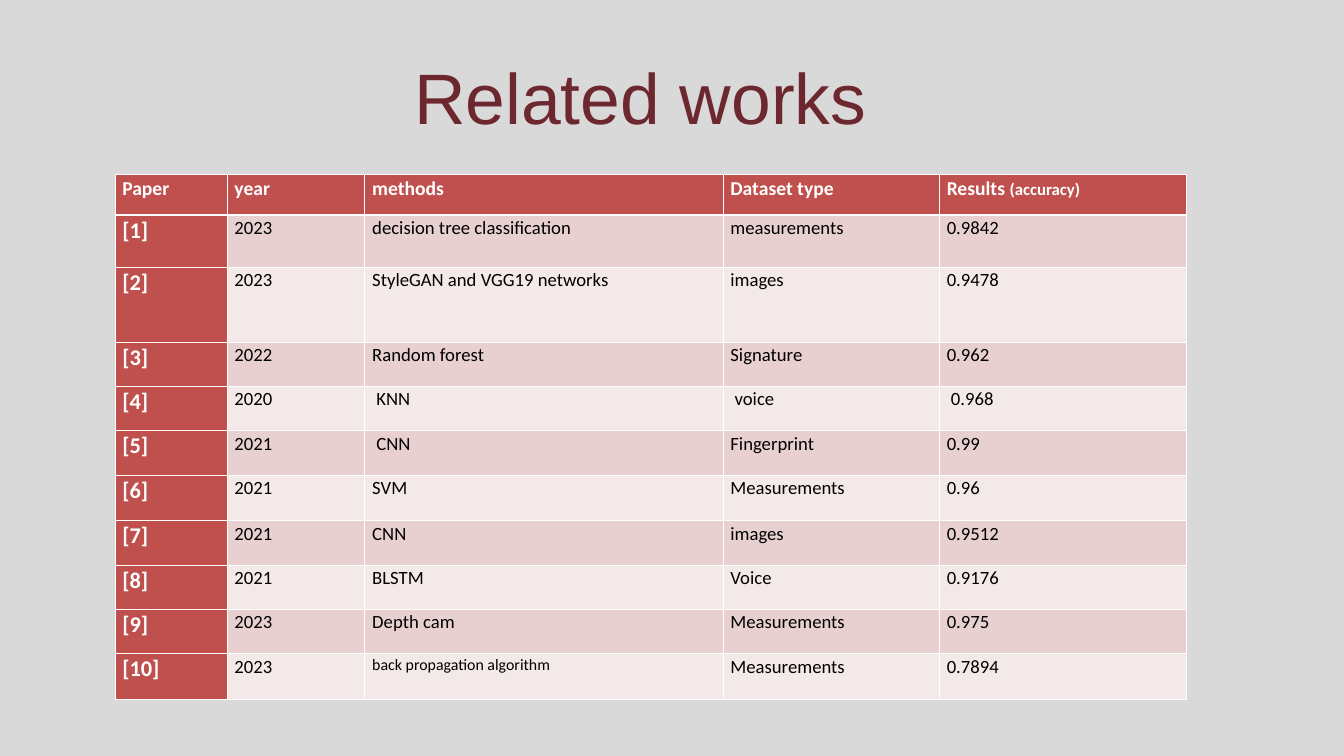
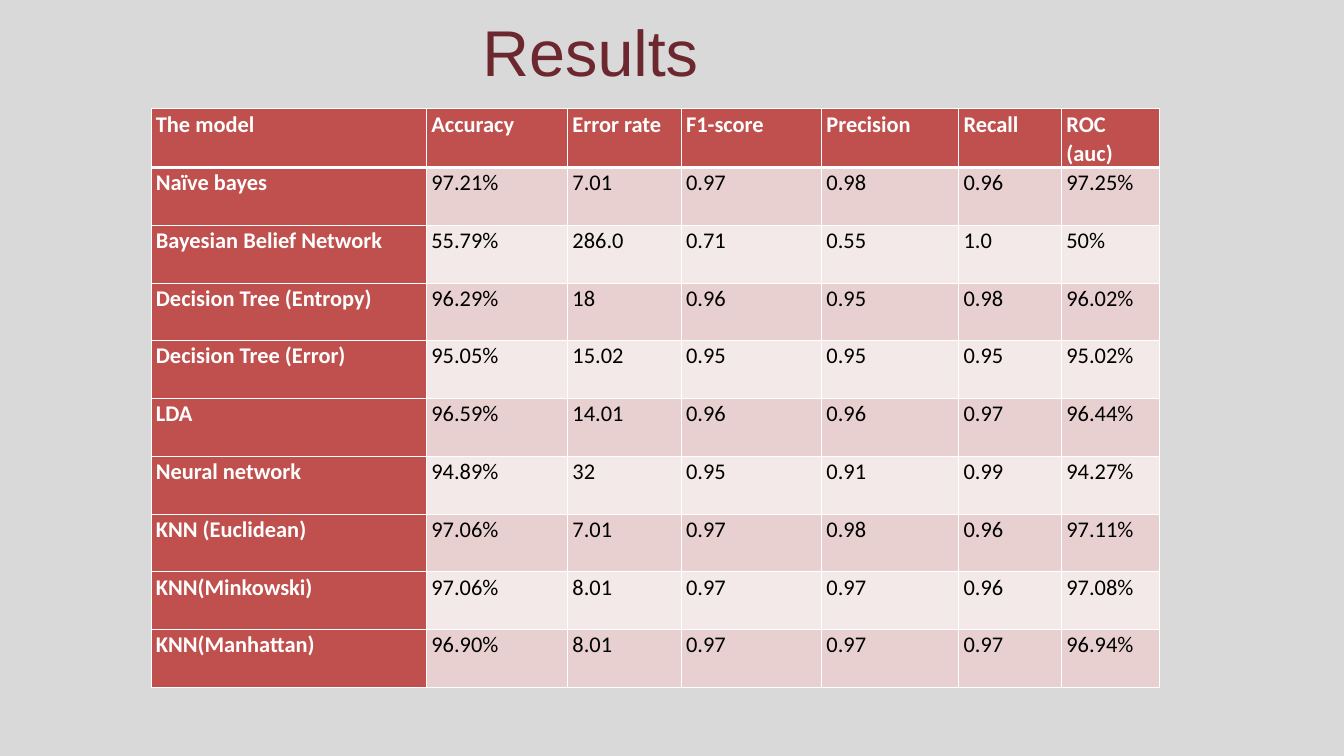
from typing import NamedTuple

from lxml.etree import SubElement as Sub
from pptx import Presentation
from pptx.dml.color import RGBColor as RGB
from pptx.enum.text import MSO_ANCHOR as Anchor
from pptx.enum.text import MSO_AUTO_SIZE as Fit
from pptx.enum.text import PP_ALIGN as Align
from pptx.oxml.ns import qn
from pptx.util import Inches, Pt

# Shared look
HEX = {
    "back": "D9D9D9",
    "title": "6D272E",
    "head": "C0504D",
    "odd": "E8D0D0",
    "even": "F4E9E9",
    "white": "FFFFFF",
    "black": "000000",
}
TITLE_FONT, CELL_FONT = "Arial", "Calibri"
THIN, THICK = 1, 3
SPACING = 1.07


class Part(NamedTuple):
    text: str
    size: float


class Title(NamedTuple):
    text: str
    left: float
    top: float
    size: float


class Grid(NamedTuple):
    left: float
    top: float
    cols: list[float]
    rows: list[float]
    pad: float
    head: float   # text size of the header row
    label: float  # text size of the first column
    body: float
    cells: list[list[str | Part | list[Part]]]


# Related works
WORKS_TITLE = Title("Related works ", 5.18, 0.81, 76.5)
WORKS = Grid(
    1.71, 2.6,
    [1.67, 2.05, 5.33, 3.22, 3.68],
    [0.6, 0.78, 1.11, 0.66, 0.66, 0.66, 0.68, 0.66, 0.66, 0.66, 0.68],
    0.11, 21, 24, 20,
    [
        ["Paper", "year", "methods", "Dataset type",
         [Part("Results ", 21), Part("(accuracy)", 18)]],
        ["[1]", "2023", "decision tree classification", "measurements", "0.9842"],
        ["[2]", "2023", "StyleGAN and VGG19 networks", "images", "0.9478"],
        ["[3]", "2022", "Random forest", "Signature", "0.962"],
        ["[4]", "2020", " KNN ", " voice", " 0.968"],
        ["[5]", "2021", " CNN ", "Fingerprint", "0.99"],
        ["[6]", "2021", "SVM", "Measurements", "0.96"],
        ["[7]", "2021", "CNN", "images", "0.9512"],
        ["[8]", "2021", "BLSTM", "Voice", "0.9176"],
        ["[9]", "2023", "Depth cam", "Measurements", "0.975"],
        ["[10]", "2023", Part("back propagation algorithm", 17),
         "Measurements", "0.7894"],
    ],
)

# Results
SCORES_TITLE = Title("Results ", 4.42, 0.13, 69.3)
SCORES = Grid(
    2.25, 1.62,
    [4.1, 2.1, 1.69, 2.09, 2.04, 1.53, 1.46],
    [0.86] * 10,
    0.07, 24, 24, 24,
    [
        ["The model", "Accuracy", "Error rate", "F1-score", "Precision",
         "Recall", "ROC\n(auc)"],
        ["Naïve bayes", "97.21%", "7.01", "0.97", "0.98", "0.96", "97.25%"],
        ["Bayesian Belief Network", "55.79%", "286.0", "0.71", "0.55", "1.0", "50%"],
        ["Decision Tree (Entropy)", "96.29%", "18", "0.96", "0.95", "0.98", "96.02%"],
        ["Decision Tree (Error)", "95.05%", "15.02", "0.95", "0.95", "0.95", "95.02%"],
        ["LDA", "96.59%", "14.01", "0.96", "0.96", "0.97", "96.44%"],
        ["Neural network", "94.89%", "32", "0.95", "0.91", "0.99", "94.27%"],
        ["KNN (Euclidean)", "97.06%", "7.01", "0.97", "0.98", "0.96", "97.11%"],
        ["KNN(Minkowski)", "97.06%", "8.01", "0.97", "0.97", "0.96", "97.08%"],
        ["KNN(Manhattan)", "96.90%", "8.01", "0.97", "0.97", "0.97", "96.94%"],
    ],
)


def color(name: str) -> RGB:
    return RGB.from_string(HEX[name])


def style(para, font: str, size: float, ink: str, bold: bool) -> None:
    para.font.name = font
    para.font.size = Pt(size)
    para.font.bold = bold
    para.font.color.rgb = color(ink)


def add_title(slide, title: Title) -> None:
    shape = slide.shapes.title
    shape.left, shape.top = Inches(title.left), Inches(title.top)
    shape.width, shape.height = Inches(9), Inches(1.25)
    frame = shape.text_frame
    frame.text = title.text
    frame.word_wrap = True
    frame.auto_size = Fit.NONE
    frame.vertical_anchor = Anchor.MIDDLE
    para = frame.paragraphs[0]
    para.alignment = Align.CENTER
    style(para, TITLE_FONT, title.size, "title", False)


def add_edges(cell, row: int) -> None:
    """Draw white borders, with a thick rule under the header row."""
    props = cell._tc.get_or_add_tcPr()
    widths = {
        "L": THIN,
        "R": THIN,
        "T": THICK if row == 1 else THIN,
        "B": THICK if row == 0 else THIN,
    }
    for side, width in widths.items():
        line = Sub(props, qn(f"a:ln{side}"), w=str(Pt(width)))
        fill = Sub(line, qn("a:solidFill"))
        Sub(fill, qn("a:srgbClr"), val=HEX["white"])


def fill_cell(cell, grid: Grid, row: int, col: int) -> None:
    add_edges(cell, row)
    marked = row == 0 or col == 0
    cell.fill.solid()
    cell.fill.fore_color.rgb = color(
        "head" if marked else "odd" if row % 2 else "even")
    cell.margin_left = cell.margin_right = Inches(grid.pad)
    cell.margin_top = cell.margin_bottom = 0

    size = grid.head if row == 0 else grid.label if col == 0 else grid.body
    value = grid.cells[row][col]
    if isinstance(value, Part):
        size, value = value.size, value.text
    frame = cell.text_frame
    if isinstance(value, str):
        frame.text = value
    else:
        for part in value:
            run = frame.paragraphs[0].add_run()
            run.text = part.text
            run.font.size = Pt(part.size)
    for para in frame.paragraphs:
        para.line_spacing = SPACING
        style(para, CELL_FONT, size, "white" if marked else "black", marked)


def add_grid(slide, grid: Grid) -> None:
    table = slide.shapes.add_table(
        len(grid.rows), len(grid.cols),
        Inches(grid.left), Inches(grid.top),
        Inches(sum(grid.cols)), Inches(sum(grid.rows))).table
    table.first_col = True
    for col, width in zip(table.columns, grid.cols):
        col.width = Inches(width)
    for row, height in zip(table.rows, grid.rows):
        row.height = Inches(height)
    for row in range(len(grid.rows)):
        for col in range(len(grid.cols)):
            fill_cell(table.cell(row, col), grid, row, col)


def main() -> None:
    deck = Presentation()
    deck.slide_width, deck.slide_height = Inches(20), Inches(11.25)
    back = deck.slide_master.background.fill
    back.solid()
    back.fore_color.rgb = color("back")
    layout = deck.slide_layouts.get_by_name("Title Only")
    for title, grid in ((WORKS_TITLE, WORKS), (SCORES_TITLE, SCORES)):
        slide = deck.slides.add_slide(layout)
        add_title(slide, title)
        add_grid(slide, grid)
    deck.save("out.pptx")


if __name__ == "__main__":
    main()
